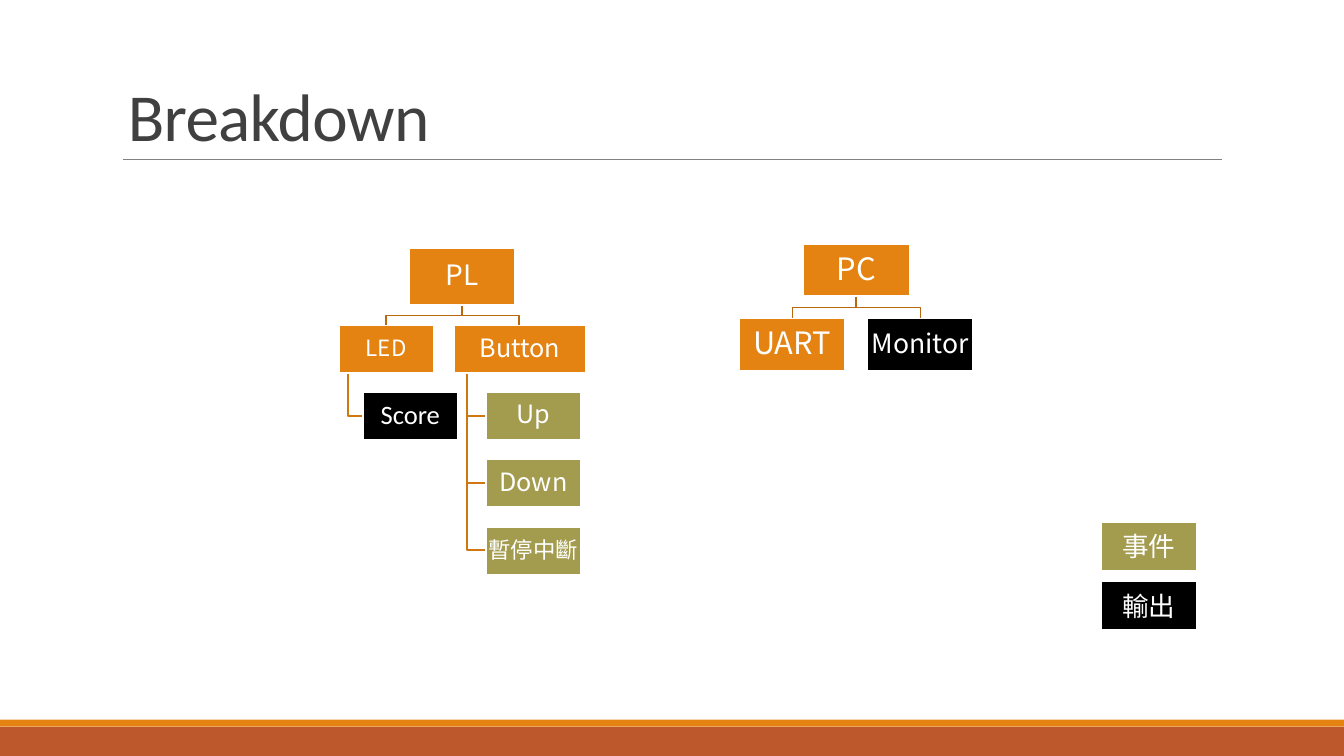
import pptx
import pptx.dml.color
import pptx.enum.shapes
import pptx.enum.text
import pptx.oxml.ns
import pptx.util
import lxml.etree

Inches = pptx.util.Inches
Pt = pptx.util.Pt
RGBColor = pptx.dml.color.RGBColor
RECTANGLE = pptx.enum.shapes.MSO_SHAPE.RECTANGLE

ORANGE = RGBColor(0xE4, 0x83, 0x12)
RUST = RGBColor(0xBD, 0x58, 0x2C)
OLIVE = RGBColor(0xA3, 0x9B, 0x4E)
BLACK = RGBColor(0x00, 0x00, 0x00)
WHITE = RGBColor(0xFF, 0xFF, 0xFF)
GRAY = RGBColor(0x80, 0x80, 0x80)
CHARCOAL = RGBColor(0x40, 0x40, 0x40)
UPPER_BRANCH = RGBColor(0xB7, 0x69, 0x0E)
LOWER_BRANCH = RGBColor(0xCF, 0x77, 0x10)
CJK = "Noto Sans CJK SC"
LATIN = "Calibri"

deck = pptx.Presentation()
deck.slide_width = Inches(13.33)
deck.slide_height = Inches(7.5)
slide = deck.slides.add_slide(deck.slide_layouts[6])
shapes = slide.shapes


def add_branch(points, color):
    corners = [(Inches(x), Inches(y)) for x, y in points]
    builder = shapes.build_freeform(*corners[0], scale=1.0)
    builder.add_line_segments(corners[1:], close=False)
    branch = builder.convert_to_shape()
    branch.shadow.inherit = False
    branch.fill.background()
    branch.line.color.rgb = color
    branch.line.width = Pt(1.25)


def add_box(label, left, top, width, height, fill, size, font=CJK, spacing=0.9, inset=0.01):
    box = shapes.add_shape(RECTANGLE, Inches(left), Inches(top), Inches(width), Inches(height))
    box.shadow.inherit = False
    box.fill.solid()
    box.fill.fore_color.rgb = fill
    box.line.color.rgb = WHITE
    box.line.width = Pt(1.25)
    frame = box.text_frame
    frame.word_wrap = True
    frame.vertical_anchor = pptx.enum.text.MSO_ANCHOR.MIDDLE
    frame.margin_left = frame.margin_right = Inches(inset)
    frame.margin_top = frame.margin_bottom = Inches(inset)
    paragraph = frame.paragraphs[0]
    paragraph.alignment = pptx.enum.text.PP_ALIGN.CENTER
    paragraph.line_spacing = spacing
    run = paragraph.add_run()
    run.text = label
    run.font.size = Pt(size)
    run.font.name = font
    run.font.color.rgb = WHITE
    east_asian = lxml.etree.SubElement(run.font._element, pptx.oxml.ns.qn("a:ea"))
    east_asian.set("typeface", CJK)


for top, height, color in [(7.21, 0.29, RUST), (7.14, 0.07, ORANGE)]:
    band = shapes.add_shape(RECTANGLE, 0, Inches(top), deck.slide_width, Inches(height))
    band.shadow.inherit = False
    band.fill.solid()
    band.fill.fore_color.rgb = color
    band.line.fill.background()

title_rule = shapes.add_connector(
    pptx.enum.shapes.MSO_CONNECTOR.STRAIGHT, Inches(1.22), Inches(1.58), Inches(12.12), Inches(1.58))
title_rule.line.color.rgb = GRAY
title_rule.line.width = Pt(0.5)
lxml.etree.SubElement(title_rule._element.spPr, pptx.oxml.ns.qn("a:effectLst"))

title = shapes.add_textbox(Inches(1.17), 0, Inches(11), Inches(1.59))
title.text_frame.word_wrap = True
title.text_frame.vertical_anchor = pptx.enum.text.MSO_ANCHOR.BOTTOM
heading = title.text_frame.paragraphs[0]
heading.line_spacing = 0.85
heading_run = heading.add_run()
heading_run.text = "Breakdown"
heading_run.font.size = Pt(48)
heading_run.font.name = LATIN
heading_run.font.color.rgb = CHARCOAL
heading_run.font._element.set("spc", "-50")

for trunk, tip, bottom in [(4.63, 4.82, 5.46), (4.63, 4.82, 4.79), (4.63, 4.82, 4.13), (3.45, 3.6, 4.13)]:
    add_branch([(trunk, 3.69), (trunk, bottom), (tip, bottom)], LOWER_BRANCH)

for parent, top, middle, bottom, children in [
    (4.58, 3.03, 3.13, 3.23, (5.15, 3.83)),
    (8.49, 2.94, 3.05, 3.16, (9.13, 7.86)),
]:
    for child in children:
        add_branch([(parent, top), (parent, middle), (child, middle), (child, bottom)], UPPER_BRANCH)

add_box("PL", 4.06, 2.46, 1.05, 0.57, ORANGE, 20)
add_box("LED", 3.36, 3.23, 0.94, 0.47, ORANGE, 16)
add_box("Score", 3.6, 3.89, 0.94, 0.47, BLACK, 19, font=LATIN)
add_box("Button", 4.5, 3.23, 1.31, 0.47, ORANGE, 18)
for row, (event, size) in enumerate([("Up", 18), ("Down", 18), ("暫停中斷", 16)]):
    add_box(event, 4.82, 3.89 + row * 0.67, 0.94, 0.47, OLIVE, size)

add_box("PC", 7.97, 2.42, 1.05, 0.52, ORANGE, 22, inset=0.02)
add_box("UART", 7.33, 3.16, 1.05, 0.52, ORANGE, 22, inset=0.02)
add_box("Monitor", 8.6, 3.16, 1.05, 0.52, BLACK, 19)

for row, (meaning, color) in enumerate([("事件", OLIVE), ("輸出", BLACK)]):
    add_box(meaning, 10.92, 5.18 + row * 0.59, 0.95, 0.48, color, 19, spacing=1.0)

deck.save("out.pptx")
